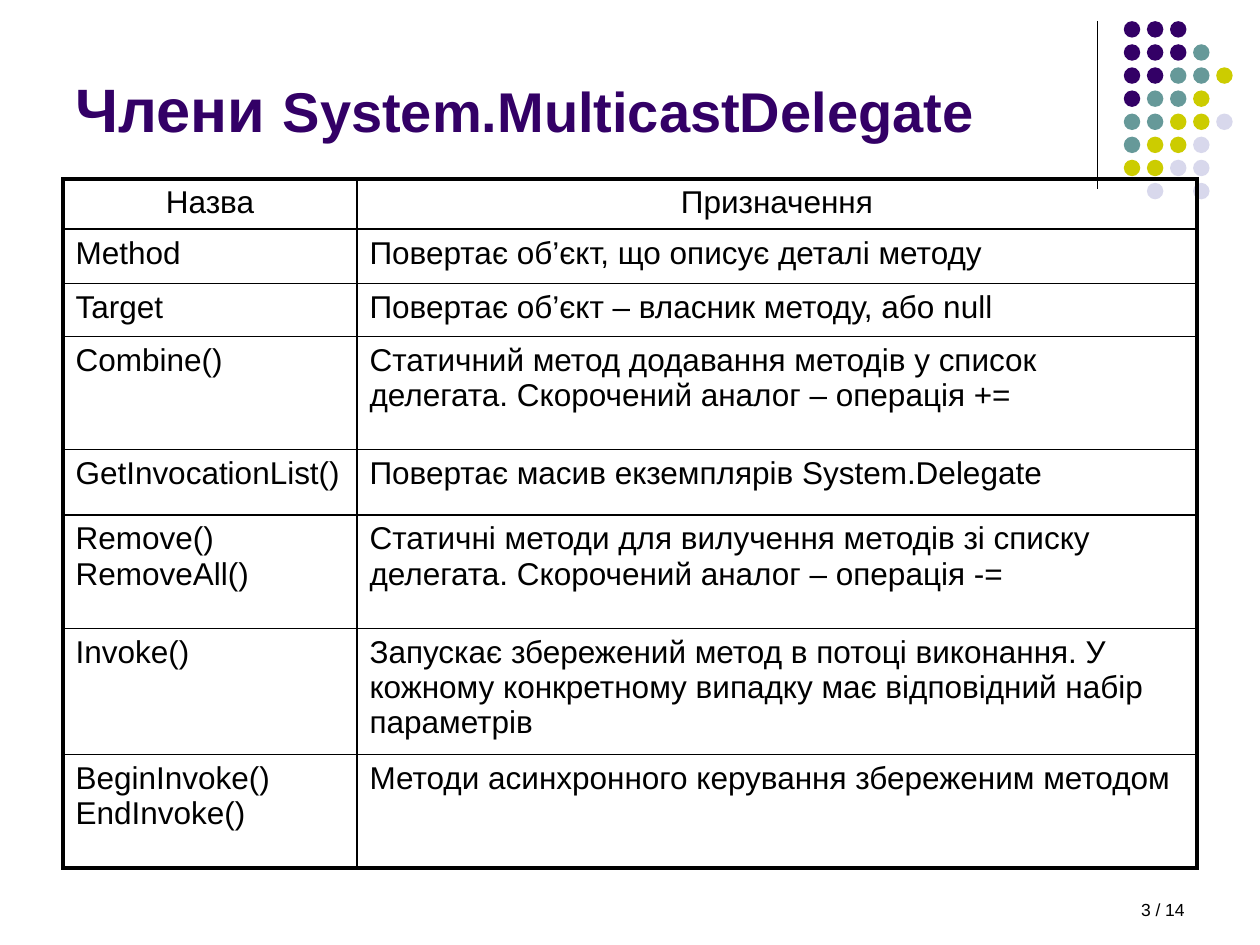
from pptx import Presentation
from pptx.dml.color import RGBColor
from pptx.enum.shapes import MSO_CONNECTOR, MSO_SHAPE
from pptx.enum.text import MSO_ANCHOR, MSO_AUTO_SIZE, PP_ALIGN
from pptx.oxml.ns import qn
from pptx.util import Pt
from lxml.etree import SubElement

BLACK = RGBColor(0x00, 0x00, 0x00)
PURPLE = RGBColor(0x33, 0x00, 0x66)
TEAL = RGBColor(0x66, 0x99, 0x99)
OLIVE = RGBColor(0xCC, 0xCC, 0x00)
LAVENDER = RGBColor(0xD8, 0xD8, 0xEC)

TITLE_RUNS = [("Члени ", 35), ("System.MulticastDelegate", 32)]
PAGE_NUMBER = "3 / 14"
MEMBERS = [
    ("Назва", "Призначення"),
    ("Method", "Повертає об’єкт, що описує деталі методу"),
    ("Target", "Повертає об’єкт – власник методу, або null"),
    ("Combine()", "Статичний метод додавання методів у список делегата. "
                  "Скорочений аналог – операція +="),
    ("GetInvocationList()", "Повертає масив екземплярів System.Delegate"),
    ("Remove() RemoveAll()", "Статичні методи для вилучення методів зі списку делегата. "
                             "Скорочений аналог – операція -="),
    ("Invoke()", "Запускає збережений метод в потоці виконання. "
                 "У кожному конкретному випадку має відповідний набір параметрів"),
    ("BeginInvoke() EndInvoke()", "Методи асинхронного керування збереженим методом"),
]
COLUMN_WIDTHS = [168, 480]
ROW_HEIGHTS = [28.8, 31, 30.2, 64.8, 37.4, 64.8, 72, 64.8]
TABLE_LEFT, TABLE_TOP = 36, 102.2
INNER_BORDER, OUTER_BORDER = 1, 2.25

DOT_COLORS = {"P": PURPLE, "T": TEAL, "O": OLIVE, "L": LAVENDER}
DOT_ROWS = ["PPP", "PPPT", "PPTTO", "PTTO", "TTOOL", "TOOL", "OOLL", " L L"]
DOT_LEFT, DOT_TOP, DOT_SIZE, DOT_PITCH = 642.2, 12.1, 9.4, 13.2


def write_run(paragraph, text, **font_format):
    """Add an Arial run with the given font values."""
    run = paragraph.add_run()
    run.text = text
    color = font_format.pop("color", BLACK)
    for name, value in {"name": "Arial", **font_format}.items():
        setattr(run.font, name, value)
    run.font.color.rgb = color


def add_title(slide):
    """Place and fill the title placeholder."""
    title = slide.shapes.title
    place = {"left": 36, "top": 23.8, "width": 594, "height": 62.6}
    for name, value in place.items():
        setattr(title, name, Pt(value))
    frame = title.text_frame
    frame.auto_size = MSO_AUTO_SIZE.NONE
    frame.vertical_anchor = MSO_ANCHOR.BOTTOM
    paragraph = frame.paragraphs[0]
    paragraph.alignment = PP_ALIGN.LEFT
    for text, size in TITLE_RUNS:
        write_run(paragraph, text, size=Pt(size), bold=True, color=PURPLE)


def add_decoration(slide):
    """Draw the vertical rule and the grid of dots."""
    rule = slide.shapes.add_connector(
        MSO_CONNECTOR.STRAIGHT, Pt(627), Pt(12), Pt(627), Pt(108))
    rule.line.color.rgb = BLACK
    rule.line.width = Pt(0.75)
    SubElement(rule.element.spPr, qn("a:effectLst"))
    for row, codes in enumerate(DOT_ROWS):
        for column, code in enumerate(codes):
            if code == " ":
                continue
            dot = slide.shapes.add_shape(
                MSO_SHAPE.OVAL, Pt(DOT_LEFT + column * DOT_PITCH),
                Pt(DOT_TOP + row * DOT_PITCH), Pt(DOT_SIZE), Pt(DOT_SIZE))
            dot.shadow.inherit = False
            dot.fill.solid()
            dot.fill.fore_color.rgb = DOT_COLORS[code]
            dot.line.fill.background()


def set_borders(cell, outer_sides):
    """Draw black cell borders, thicker on the outer sides."""
    properties = cell._tc.get_or_add_tcPr()
    for position, side in enumerate("LRTB"):
        width = OUTER_BORDER if side in outer_sides else INNER_BORDER
        line = properties.makeelement(qn(f"a:ln{side}"), {"w": str(Pt(width))})
        fill = SubElement(line, qn("a:solidFill"))
        SubElement(fill, qn("a:srgbClr"), val=str(BLACK))
        properties.insert(position, line)


def add_members_table(slide):
    """Build the table of members."""
    last_row, last_column = len(MEMBERS) - 1, len(COLUMN_WIDTHS) - 1
    table = slide.shapes.add_table(
        len(MEMBERS), len(COLUMN_WIDTHS), Pt(TABLE_LEFT), Pt(TABLE_TOP),
        Pt(sum(COLUMN_WIDTHS)), Pt(sum(ROW_HEIGHTS))).table
    table.first_row = table.horz_banding = False
    for column, width in zip(table.columns, COLUMN_WIDTHS):
        column.width = Pt(width)
    for row, height in zip(table.rows, ROW_HEIGHTS):
        row.height = Pt(height)
    for row, texts in enumerate(MEMBERS):
        for column, text in enumerate(texts):
            cell = table.cell(row, column)
            cell.fill.background()
            paragraph = cell.text_frame.paragraphs[0]
            paragraph.alignment = PP_ALIGN.LEFT if row else PP_ALIGN.CENTER
            write_run(paragraph, text, size=Pt(18))
            edges = {"L": column == 0, "R": column == last_column,
                     "T": row == 0, "B": row == last_row}
            set_borders(cell, [side for side, outer in edges.items() if outer])


def add_page_number(slide):
    """Write the page number at the bottom right."""
    box = slide.shapes.add_textbox(Pt(516), Pt(510), Pt(168), Pt(18))
    box.text_frame.word_wrap = True
    paragraph = box.text_frame.paragraphs[0]
    paragraph.alignment = PP_ALIGN.RIGHT
    write_run(paragraph, PAGE_NUMBER, size=Pt(10))


presentation = Presentation()
presentation.slide_width, presentation.slide_height = Pt(720), Pt(540)
slide = presentation.slides.add_slide(presentation.slide_layouts.get_by_name("Title Only"))
add_decoration(slide)
add_title(slide)
add_members_table(slide)
add_page_number(slide)
presentation.save("out.pptx")
